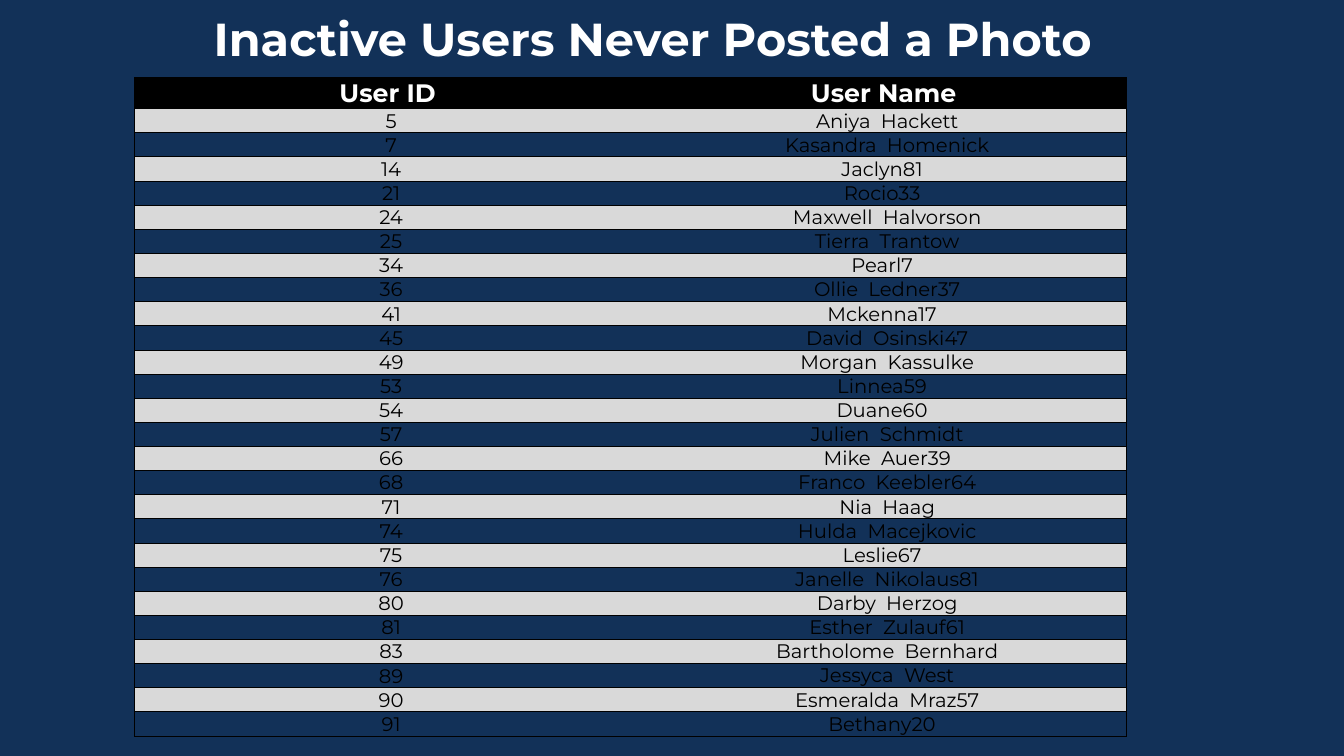
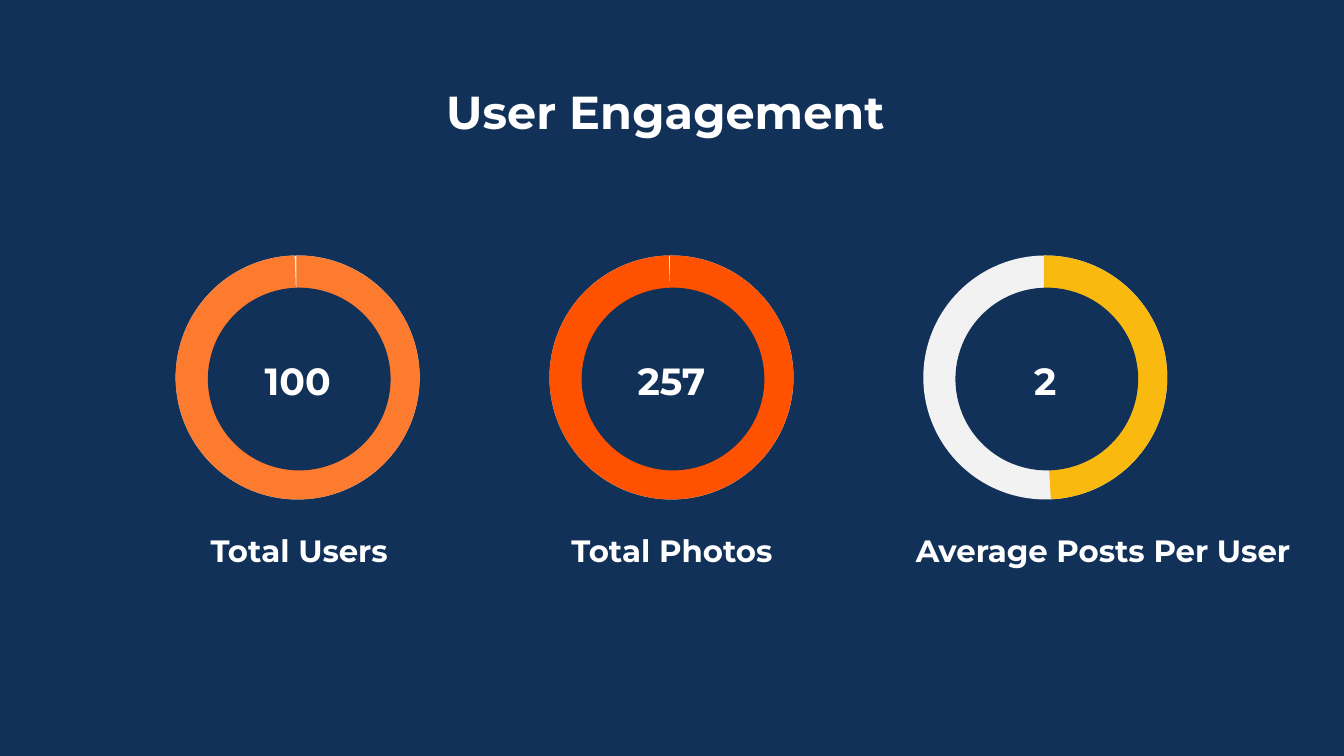
"""Build two slides on user activity: a table of inactive users and three engagement rings."""
from lxml.etree import SubElement
from pptx import Presentation
from pptx.dml.color import RGBColor
from pptx.enum.shapes import MSO_SHAPE
from pptx.enum.text import MSO_ANCHOR, MSO_AUTO_SIZE, PP_ALIGN
from pptx.oxml.ns import qn
from pptx.util import Pt

PX = 9525
FONT = "Montserrat"
COLORS = {
    "navy": "123158", "white": "FFFFFF", "black": "000000", "band": "D9D9D9",
    "track": "F2F2F2", "orange": "FD7B2F", "red": "FE5200", "yellow": "F9B90F",
}
TITLE_SIZE, LABEL_SIZE, VALUE_SIZE = 33, 22, 27
NO_STYLE = "{2D5ABB26-0587-4C30-8999-92F81FD0307C}"


def write(frame, text, size, color="white", bold=True):
    frame.text = text
    paragraph = frame.paragraphs[0]
    paragraph.alignment = PP_ALIGN.CENTER
    paragraph.font.name = FONT
    paragraph.font.size = Pt(size)
    paragraph.font.bold = bold
    paragraph.font.color.rgb = RGBColor.from_string(COLORS[color])


def add_text(slide, box, text, size):
    frame = slide.shapes.add_textbox(*(n * PX for n in box)).text_frame
    frame.word_wrap = True
    frame.auto_size = MSO_AUTO_SIZE.SHAPE_TO_FIT_TEXT
    write(frame, text, size)


prs = Presentation()
prs.slide_width, prs.slide_height = 1280 * PX, 720 * PX
inactive, engagement = (prs.slides.add_slide(prs.slide_layouts[6]) for _ in range(2))
for slide in (inactive, engagement):
    backdrop = slide.shapes.add_shape(MSO_SHAPE.RECTANGLE, 0, 0, prs.slide_width, prs.slide_height)
    backdrop.shadow.inherit = False
    backdrop.fill.solid()
    backdrop.fill.fore_color.rgb = RGBColor.from_string(COLORS["navy"])
    backdrop.line.fill.background()

add_text(inactive, (194, 5, 868, 63), "Inactive Users Never Posted a Photo ", TITLE_SIZE)

users = [
    ("User ID ", "User Name "),
    (5, "Aniya  Hackett"), (7, "Kasandra  Homenick"), (14, "Jaclyn81  "), (21, "Rocio33  "),
    (24, "Maxwell  Halvorson"), (25, "Tierra  Trantow"), (34, "Pearl7  "),
    (36, "Ollie  Ledner37"), (41, "Mckenna17  "), (45, "David  Osinski47"),
    (49, "Morgan  Kassulke"), (53, "Linnea59  "), (54, "Duane60  "), (57, "Julien  Schmidt"),
    (66, "Mike  Auer39"), (68, "Franco  Keebler64"), (71, "Nia  Haag"),
    (74, "Hulda  Macejkovic"), (75, "Leslie67  "), (76, "Janelle  Nikolaus81"),
    (80, "Darby  Herzog"), (81, "Esther  Zulauf61"), (83, "Bartholome  Bernhard"),
    (89, "Jessyca  West"), (90, "Esmeralda  Mraz57"), (91, "Bethany20  "),
]
column_widths = (489, 456)
row_height = 21
user_table = inactive.shapes.add_table(
    len(users), 2, 128 * PX, 74 * PX, sum(column_widths) * PX, len(users) * row_height * PX
).table
user_table.horz_banding = False
user_table._tbl.tblPr.find(qn("a:tableStyleId")).text = NO_STYLE
for column, width in zip(user_table.columns, column_widths):
    column.width = width * PX

for r, user in enumerate(users):
    user_table.rows[r].height = row_height * PX
    for c, entry in enumerate(user):
        cell = user_table.cell(r, c)
        cell.margin_left = cell.margin_right = cell.margin_top = Pt(0.4)
        cell.margin_bottom = 0
        cell.vertical_anchor = MSO_ANCHOR.BOTTOM if c else MSO_ANCHOR.MIDDLE
        if r == 0:
            write(cell.text_frame, entry, 18)
        else:
            write(cell.text_frame, str(entry), 14, "black", False)
        for side in ("lnR" if c else "lnL", "lnT", "lnB"):
            border = SubElement(cell._tc.get_or_add_tcPr(), qn(f"a:{side}"), w=str(Pt(0.5)))
            SubElement(SubElement(border, qn("a:solidFill")), qn("a:srgbClr"), val=COLORS["black"])
        if r == 0 or r % 2:
            cell.fill.solid()
            cell.fill.fore_color.rgb = RGBColor.from_string(COLORS["band" if r else "black"])
        else:
            cell.fill.background()

ring_left, ring_top, ring_size, ring_step = 184, 260, 199, 356
hole_inset, hole_size = 14, 174
arc_start = 161.56
metrics = [
    ("100", "Total Users", "orange", 161.23, 142, 286),
    ("257", "Total Photos", "red", 161.34, 497, 286),
    ("2", "Average Posts Per User", "yellow", 52.48, 846, 409),
]
for i, (value, label, color, arc_end, label_left, label_width) in enumerate(metrics):
    left = ring_left + i * ring_step
    layers = [
        (MSO_SHAPE.OVAL, 0, ring_size, "track"),
        (MSO_SHAPE.ARC, 0, ring_size, color),
        (MSO_SHAPE.OVAL, hole_inset, hole_size, None),
    ]
    for preset, inset, size, stroke in layers:
        layer = engagement.shapes.add_shape(
            preset, (left + inset) * PX, (ring_top + inset) * PX, size * PX, size * PX
        )
        layer.shadow.inherit = False
        if preset == MSO_SHAPE.ARC:
            layer.adjustments[0], layer.adjustments[1] = arc_start, arc_end
            layer.fill.background()
        else:
            layer.fill.solid()
            layer.fill.fore_color.rgb = RGBColor.from_string(COLORS["navy"])
        if stroke:
            layer.line.color.rgb = RGBColor.from_string(COLORS[stroke])
            layer.line.width = Pt(25)
        else:
            layer.line.fill.background()
    add_text(engagement, (left + 35, 336, 129, 54), value, VALUE_SIZE)
    add_text(engagement, (label_left, 502, label_width, 45), label, LABEL_SIZE)

add_text(engagement, (261, 75, 758, 63), "User Engagement ", TITLE_SIZE)

prs.save("out.pptx")
